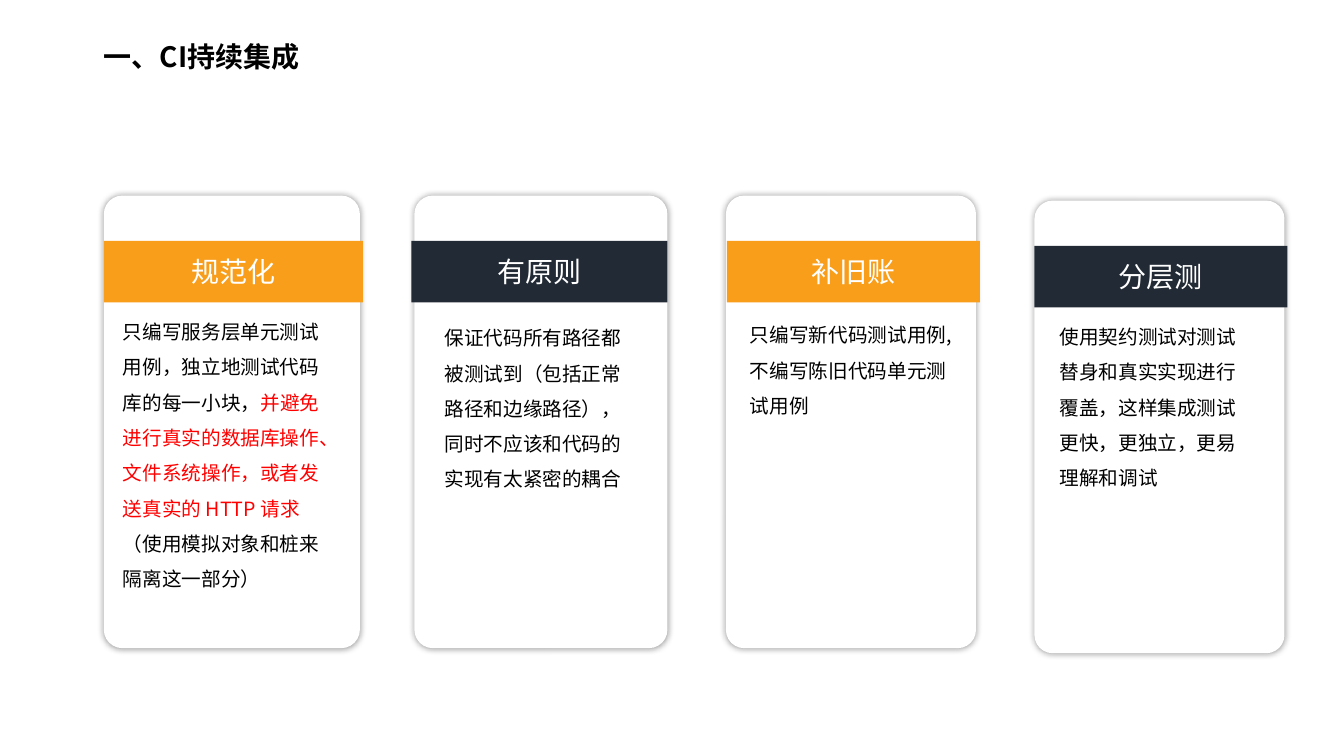
import pptx
import pptx.dml.color
import pptx.enum.shapes
import pptx.enum.text
import pptx.oxml
import pptx.oxml.ns
import pptx.util

Inches = pptx.util.Inches
RGBColor = pptx.dml.color.RGBColor
Shapes = pptx.enum.shapes.MSO_SHAPE
Anchor = pptx.enum.text.MSO_ANCHOR
Align = pptx.enum.text.PP_ALIGN
AutoSize = pptx.enum.text.MSO_AUTO_SIZE

BLACK = RGBColor(0x00, 0x00, 0x00)
WHITE = RGBColor(0xFF, 0xFF, 0xFF)
RED = RGBColor(0xFF, 0x00, 0x00)
ORANGE = RGBColor(0xF8, 0x9E, 0x1B)
NAVY = RGBColor(0x22, 0x2A, 0x35)

FONT = "Noto Sans CJK SC"
CARD_HEIGHT = 4.49
BAND_OFFSET, BAND_HEIGHT = 0.45, 0.61
BAND_OVERHANG = 0.03

# Each card: left, top, width; band left; heading; body box; body runs
CARDS = [
    ((1.03, 1.94, 2.54), 1.03, "规范化", (1.12, 3.01, 2.3, 2.89), [
        ("只编写服务层单元测试用例，独立地测试代码库的每一小块，", BLACK),
        ("并避免进行真实的数据库操作、文件系统操作，或者发送真实的 HTTP 请求", RED),
        ("（使用模拟对象和桩来隔离这一部分）", BLACK)]),
    ((4.11, 1.94, 2.51), 4.08, "有原则", (4.31, 3.07, 2.09, 1.83), [
        ("保证代码所有路径都被测试到（包括正常路径和边缘路径），"
         "同时不应该和代码的实现有太紧密的耦合", BLACK)]),
    ((7.2, 1.94, 2.48), 7.21, "补旧账", (7.34, 3.04, 2.3, 1.12), [
        ("只编写新代码测试用例, 不编写陈旧代码单元测试用例", BLACK)]),
    ((10.26, 1.99, 2.48), 10.26, "分层测", (10.41, 3.06, 2.09, 1.83), [
        ("使用契约测试对测试替身和真实实现进行覆盖，"
         "这样集成测试更快，更独立，更易理解和调试", BLACK)]),
]


def write_text(frame, runs, size=14, bold=False, align=Align.LEFT,
               anchor=Anchor.TOP, spacing=1.0, auto_size=AutoSize.NONE):
    """Fill a text frame with one paragraph of (text, colour) runs."""
    frame.word_wrap = True
    frame.auto_size = auto_size
    frame.vertical_anchor = anchor
    paragraph = frame.paragraphs[0]
    paragraph.alignment = align
    paragraph.line_spacing = spacing
    for text, colour in runs:
        run = paragraph.add_run()
        run.text = text
        run.font.size = pptx.util.Pt(size)
        run.font.bold = bold
        run.font.color.rgb = colour
        run.font.name = FONT
        east_asian = pptx.oxml.parse_xml(
            f'<a:ea {pptx.oxml.ns.nsdecls("a")} typeface="{FONT}"/>')
        run.font._element.append(east_asian)


def add_block(shapes, preset, box, fill):
    block = shapes.add_shape(preset, *map(Inches, box))
    block.shadow.inherit = False
    block.fill.solid()
    block.fill.fore_color.rgb = fill
    block.line.fill.background()
    return block


def add_glow_shadow(panel):
    """Soft black shadow on every side of the panel."""
    effects = panel._element.spPr.find(pptx.oxml.ns.qn("a:effectLst"))
    effects.append(pptx.oxml.parse_xml(
        f'<a:outerShdw {pptx.oxml.ns.nsdecls("a")} blurRad="63500" dist="0" '
        'dir="0" algn="ctr" rotWithShape="0"><a:srgbClr val="000000">'
        '<a:alpha val="40000"/></a:srgbClr></a:outerShdw>'))


def add_title(slide, box, text):
    title = slide.shapes.title
    title.left, title.top, title.width, title.height = map(Inches, box)
    write_text(title.text_frame, [(text, BLACK)], size=20, bold=True,
               anchor=Anchor.BOTTOM, spacing=0.9)


def add_card(slide, box, band_left, heading, body_box, body_runs, band_fill):
    left, top, width = box
    card = slide.shapes.add_group_shape()

    # White panel
    panel = add_block(card.shapes, Shapes.ROUNDED_RECTANGLE,
                      (left, top, width, CARD_HEIGHT), WHITE)
    panel.adjustments[0] = 0.073
    add_glow_shadow(panel)

    # Heading band
    band = add_block(card.shapes, Shapes.RECTANGLE,
                     (band_left, top + BAND_OFFSET, width + BAND_OVERHANG,
                      BAND_HEIGHT), band_fill)
    write_text(band.text_frame, [(heading, WHITE)], size=20,
               align=Align.CENTER, anchor=Anchor.MIDDLE)

    # Body text
    body = slide.shapes.add_textbox(*map(Inches, body_box))
    write_text(body.text_frame, body_runs, spacing=1.5,
               auto_size=AutoSize.SHAPE_TO_FIT_TEXT)


def main():
    deck = pptx.Presentation()
    deck.slide_width, deck.slide_height = Inches(13.33), Inches(7.5)
    slide = deck.slides.add_slide(deck.slide_layouts.get_by_name("Title Only"))

    add_title(slide, (0.93, 0.47, 12.4, 0.31), "一、CI持续集成")
    for index, card in enumerate(CARDS):
        add_card(slide, *card, band_fill=(ORANGE, NAVY)[index % 2])

    deck.save("out.pptx")


if __name__ == "__main__":
    main()
